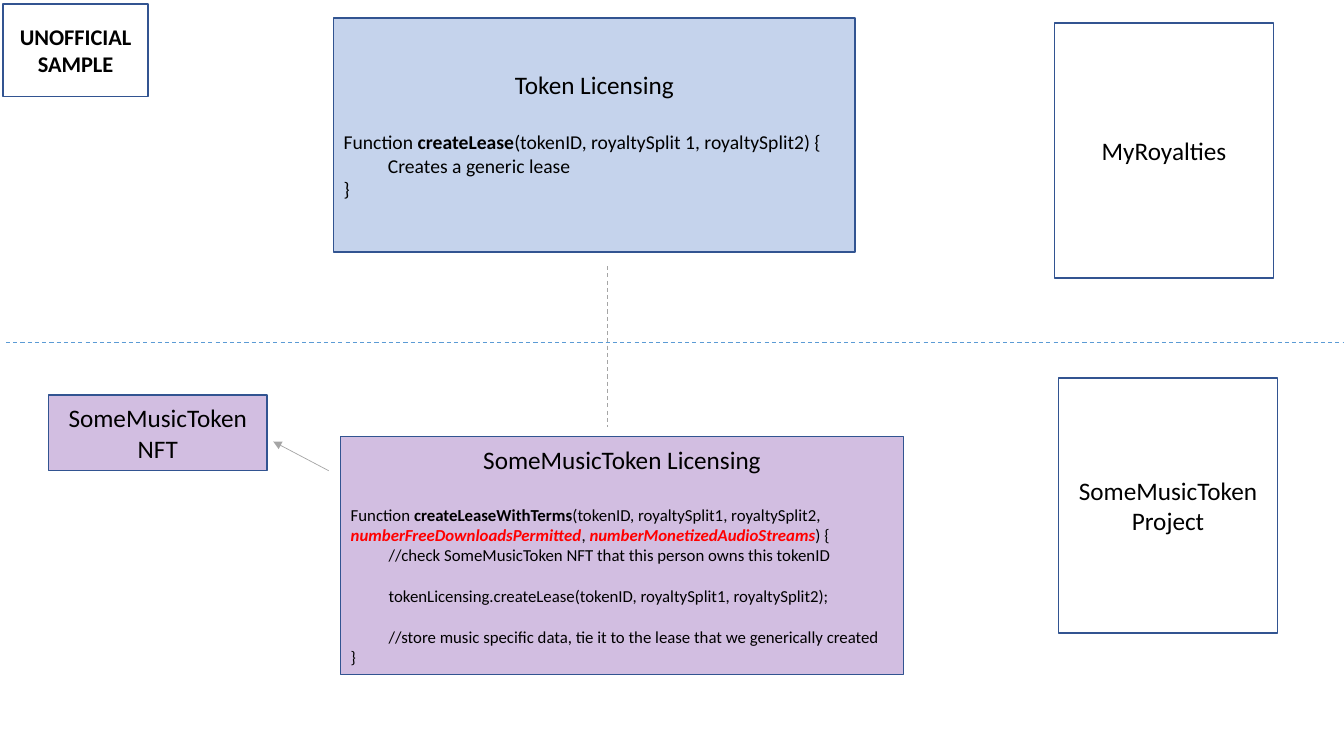
from pptx import Presentation
from pptx.dml.color import RGBColor
from pptx.enum.dml import MSO_LINE
from pptx.enum.shapes import MSO_CONNECTOR, MSO_SHAPE
from pptx.enum.text import MSO_ANCHOR, PP_ALIGN
from pptx.oxml.ns import qn
from pptx.util import Inches, Pt
from lxml.etree import SubElement


def tint(hue):
    return RGBColor.from_string(hue)


def apply(item, form):
    for key, val in form.items():
        setattr(item, key, val)


class Board:
    """Holds the style of the token diagram and the slide it is drawn on."""

    edge, ink, alert = "325491", "000000", "FF0000"
    face = "Calibri"
    marks = {
        "plain": {"bold": False, "italic": False},
        "bold": {"bold": True, "italic": False},
        "term": {"bold": True, "italic": True},
    }

    def __init__(self, slide):
        self.slide = slide

    def box(self, left, top, width, height, paras, fill=None):
        spot = [Inches(n) for n in (left, top, width, height)]
        shape = self.slide.shapes.add_shape(MSO_SHAPE.RECTANGLE, *spot)
        shape.shadow.inherit = False
        if fill:
            shape.fill.solid()
            shape.fill.fore_color.rgb = tint(fill)
            hue = shape._element.spPr.find(qn("a:solidFill")).find(qn("a:srgbClr"))
            SubElement(hue, qn("a:alpha")).set("val", "31000")
        else:
            shape.fill.background()
        shape.line.color.rgb = tint(self.edge)
        shape.line.width = Pt(1)
        frame = shape.text_frame
        apply(frame, {"word_wrap": True, "vertical_anchor": MSO_ANCHOR.MIDDLE})
        for num, para in enumerate(paras):
            self.para(frame.add_paragraph() if num else frame.paragraphs[0], **para)

    def para(self, para, runs, size, align=PP_ALIGN.LEFT, gap=0, indent=0):
        apply(para, {"alignment": align, "space_before": Pt(gap)})
        para._p.get_or_add_pPr().set("marL", str(Pt(indent)))
        for text, mark in runs:
            run = para.add_run()
            run.text = text
            apply(run.font, {"name": self.face, "size": Pt(size), **self.marks[mark]})
            run.font.color.rgb = tint(self.alert if mark == "term" else self.ink)

    def line(self, start, end, hue, width=0.75, dash=None, arrow=False):
        ends = [Inches(n) for n in (*start, *end)]
        link = self.slide.shapes.add_connector(MSO_CONNECTOR.STRAIGHT, *ends)
        link.line.color.rgb = tint(hue)
        apply(link.line, {"width": Pt(width), "dash_style": dash})
        props = link._element.spPr
        if arrow:
            SubElement(props.find(qn("a:ln")), qn("a:tailEnd")).set("type", "triangle")
        SubElement(props, qn("a:effectLst"))


def title(text, size=18, mark="plain"):
    return {"runs": [(text, mark)], "size": size, "align": PP_ALIGN.CENTER}


def code(size, *runs, gap=0, indent=0):
    return {"runs": runs, "size": size, "gap": gap, "indent": indent}


def step(size, text, gap=0):
    return code(size, (text, "plain"), gap=gap, indent=size * 2.26)


deck = Presentation()
apply(deck, {"slide_width": Inches(13.33), "slide_height": Inches(7.5)})
board = Board(deck.slides.add_slide(deck.slide_layouts[6]))
blue, plum, sky, gray = "4472C4", "7030A0", "5B9BD5", "A5A5A5"
wide, tall = 2.17, 2.53
head, blank = 22, 14.65

board.box(3.31, 0.18, 5.17, 2.32, [
    title("Token Licensing"),
    code(14, ("Function ", "plain"), ("createLease", "bold"),
         ("(tokenID, royaltySplit 1, royaltySplit2) {", "plain"), gap=head),
    step(14, "Creates a generic lease"),
    code(14, ("}", "plain")),
], blue)
board.line((0.06, 3.4), (13.33, 3.4), sky, dash=MSO_LINE.DASH)
board.box(0.48, 3.92, wide, 0.75, [title("SomeMusicToken NFT")], plum)
board.box(10.46, 0.23, wide, tall, [title("MyRoyalties")])
board.box(10.5, 3.75, wide, tall, [title("SomeMusicToken Project")])
board.box(3.38, 4.33, 5.58, 2.36, [
    title("SomeMusicToken Licensing"),
    code(12, ("Function ", "plain"), ("createLeaseWithTerms", "bold"),
         ("(tokenID, royaltySplit1, royaltySplit2, ", "plain"),
         ("numberFreeDownloadsPermitted", "term"), (", ", "plain"),
         ("numberMonetizedAudioStreams", "term"), (") {", "plain"), gap=head),
    step(12, "//check SomeMusicToken NFT that this person owns this tokenID"),
    step(12, "tokenLicensing.createLease(tokenID, royaltySplit1, royaltySplit2);", blank),
    step(12, "//store music specific data, tie it to the lease that we generically created",
         blank),
    code(12, ("}", "plain")),
], plum)
board.line((6.03, 2.64), (6.03, 4.24), gray, dash=MSO_LINE.DASH)
board.line((3.26, 4.67), (2.71, 4.38), gray, 0.5, arrow=True)
board.box(0.03, 0.04, 1.44, 0.92, [title("UNOFFICIAL SAMPLE", 16, "bold")])

deck.save("out.pptx")
